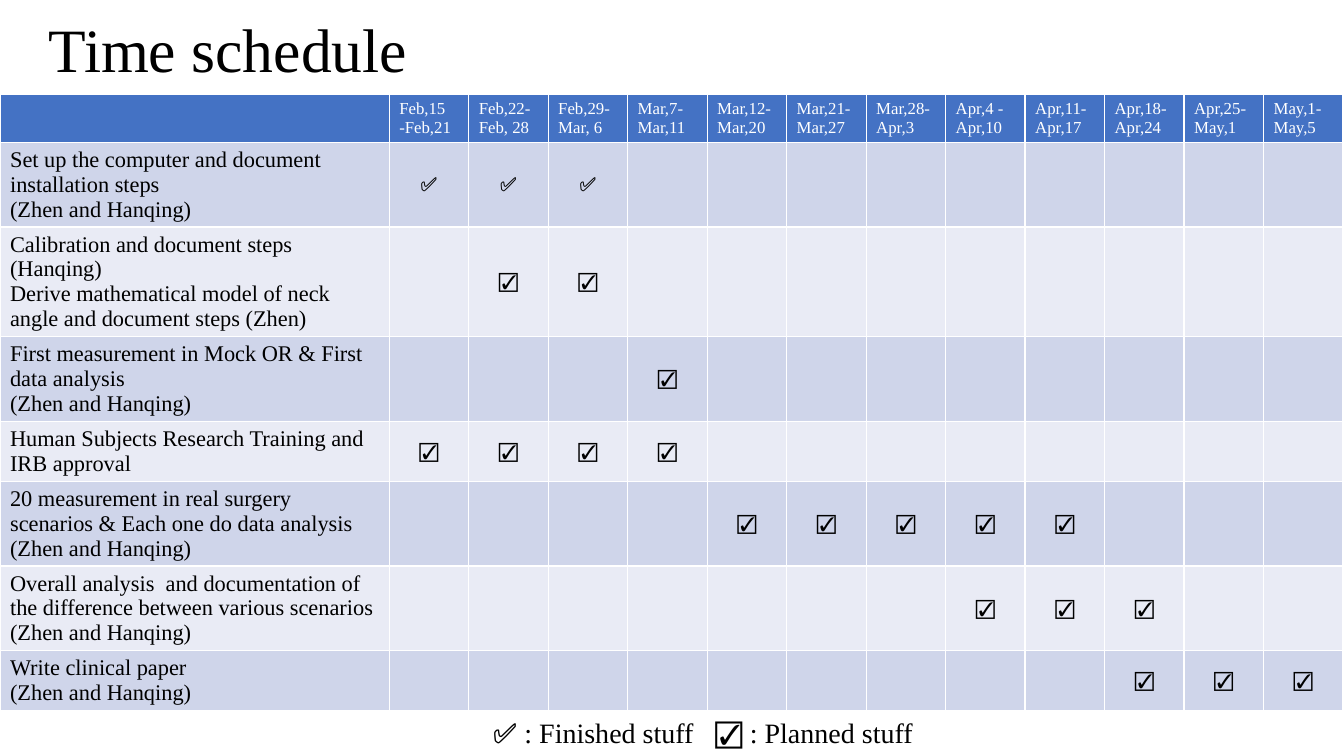
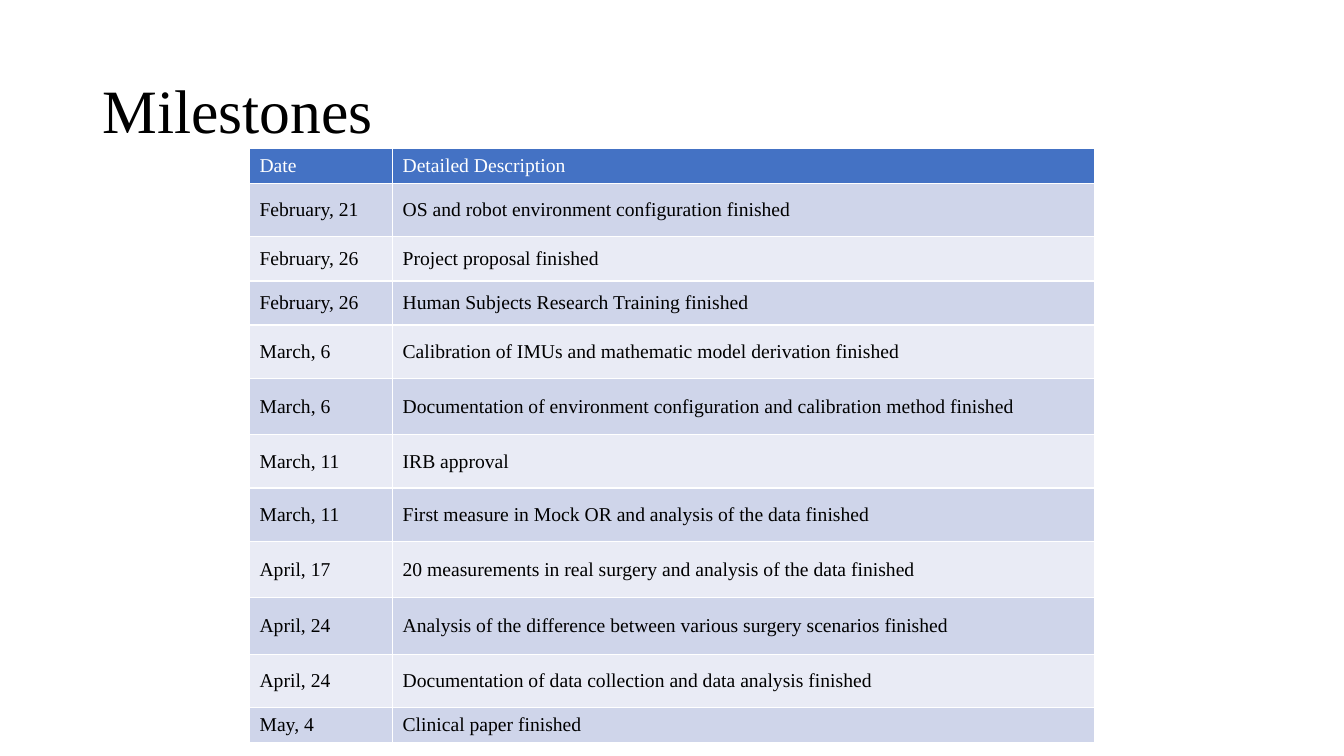
from pptx import Presentation
from pptx.dml.color import RGBColor
from pptx.enum import text
from pptx.util import Pt

# Shared look
FONT, SYMBOL_FONT = "Times New Roman", "Arial"
BLACK, WHITE = "000000", "FFFFFF"
HEADER_FILL = "4472C4"
BAND_FILLS = ("CFD5EA", "E9EBF5")

# Time schedule: task, mark, first and last week (counted from 1), row height
DONE, PLANNED = "✅", "☑️"
TEAM = "\n(Zhen and Hanqing)"
WEEKS = ["Feb,15 -Feb,21", "Feb,22-Feb, 28", "Feb,29-Mar, 6", "Mar,7-Mar,11",
         "Mar,12-Mar,20", "Mar,21-Mar,27", "Mar,28-Apr,3", "Apr,4 - Apr,10",
         "Apr,11-Apr,17", "Apr,18-Apr,24", "Apr,25-May,1", "May,1-May,5"]
TASKS = [
    ("Set up the computer and document installation steps" + TEAM, DONE, 1, 3, 60.5),
    ("Calibration and document steps (Hanqing)\n"
     "Derive mathematical model of neck angle and document steps (Zhen)",
     PLANNED, 2, 3, 78),
    ("First measurement in Mock OR & First data analysis" + TEAM, PLANNED, 4, 4, 60.5),
    ("Human Subjects Research Training and IRB approval", PLANNED, 1, 4, 42.5),
    ("20 measurement in real surgery scenarios & Each one do data analysis" + TEAM,
     PLANNED, 5, 9, 60.5),
    ("Overall analysis  and documentation of the difference between various scenarios"
     + TEAM, PLANNED, 8, 10, 60.5),
    ("Write clinical paper" + TEAM, PLANNED, 10, 12, 42.5),
]
LEGEND = [(DONE + " : Finished stuff", 345), (PLANNED + " : Planned stuff", 503.5)]

# Milestones: date, description, row height
MILESTONES = [
    ("February, 21", "OS and robot environment configuration finished", 38),
    ("February, 26", "Project proposal finished", 31.5),
    ("February, 26", "Human Subjects Research Training finished", 31.5),
    ("March, 6", "Calibration of IMUs and mathematic model derivation finished", 38),
    ("March, 6", "Documentation of environment configuration and calibration method finished", 40.5),
    ("March, 11", "IRB approval", 38),
    ("March, 11", "First measure in Mock OR and analysis of the data finished", 38),
    ("April, 17", "20 measurements in real surgery and analysis of the data finished", 40.5),
    ("April, 24", "Analysis of the difference between various surgery scenarios finished", 40.5),
    ("April, 24", "Documentation of data collection and data analysis finished", 38),
    ("May, 4", "Clinical paper finished", 25),
]


def color(value):
    return RGBColor.from_string(value)


def style_text(frame, size, font=FONT, ink=BLACK, align=text.PP_ALIGN.LEFT):
    for paragraph in frame.paragraphs:
        paragraph.alignment = align
        paragraph.font.name = font
        paragraph.font.size = Pt(size)
        paragraph.font.bold = False
        paragraph.font.color.rgb = color(ink)


def add_titled_slide(presentation, title_text, left, top, width, height):
    slide = presentation.slides.add_slide(presentation.slide_layouts[5])
    title = slide.shapes.title
    title.left, title.top, title.width, title.height = map(Pt, (left, top, width, height))
    frame = title.text_frame
    frame.text = title_text
    frame.vertical_anchor = text.MSO_ANCHOR.MIDDLE
    frame.auto_size = text.MSO_AUTO_SIZE.NONE
    frame.paragraphs[0].line_spacing = 0.9
    style_text(frame, 44)
    return slide


def add_banded_table(slide, left, top, widths, heights):
    table = slide.shapes.add_table(len(heights), len(widths), Pt(left), Pt(top),
                                   Pt(sum(widths)), Pt(sum(heights))).table
    for column, width in zip(table.columns, widths):
        column.width = Pt(width)
    for index, (row, height) in enumerate(zip(table.rows, heights)):
        row.height = Pt(height)
        for cell in row.cells:
            cell.vertical_anchor = text.MSO_ANCHOR.MIDDLE
            cell.fill.solid()
            cell.fill.fore_color.rgb = color(BAND_FILLS[(index - 1) % 2] if index else HEADER_FILL)
    return table


def write_cell(table, row, column, content, size, **style):
    frame = table.cell(row, column).text_frame
    frame.text = content
    style_text(frame, size, **style)


def build_schedule(presentation):
    slide = add_titled_slide(presentation, "Time schedule", 27.5, -1.5, 450.5, 78)
    heights = [33.5] + [task[-1] for task in TASKS]
    table = add_banded_table(slide, 0, 67.7, [278] + [56.8] * len(WEEKS), heights)
    for column, week in enumerate(WEEKS, 1):
        write_cell(table, 0, column, week, 12, ink=WHITE)
    for row, (task, mark, first, last, _) in enumerate(TASKS, 1):
        write_cell(table, row, 0, task, 16)
        for column in range(first, last + 1):
            write_cell(table, row, column, mark, 14, font=SYMBOL_FONT,
                       align=text.PP_ALIGN.CENTER)
    # Legend
    for label, left in LEGEND:
        frame = slide.shapes.add_textbox(Pt(left), Pt(507.5), Pt(180), Pt(31.5)).text_frame
        frame.word_wrap = True
        frame.text = label
        style_text(frame, 20)


def build_milestones(presentation):
    slide = add_titled_slide(presentation, "Milestones", 66, 28.8, 828, 104.4)
    heights = [25] + [milestone[-1] for milestone in MILESTONES]
    table = add_banded_table(slide, 178.2, 106.2, [102.2, 501.3], heights)
    for column, heading in enumerate(("Date", "Detailed Description")):
        write_cell(table, 0, column, heading, 14, ink=WHITE)
    for row, milestone in enumerate(MILESTONES, 1):
        for column, content in enumerate(milestone[:2]):
            write_cell(table, row, column, content, 14)


def main():
    presentation = Presentation()
    presentation.slide_width, presentation.slide_height = Pt(960), Pt(540)
    build_schedule(presentation)
    build_milestones(presentation)
    presentation.save("out.pptx")


if __name__ == "__main__":
    main()
